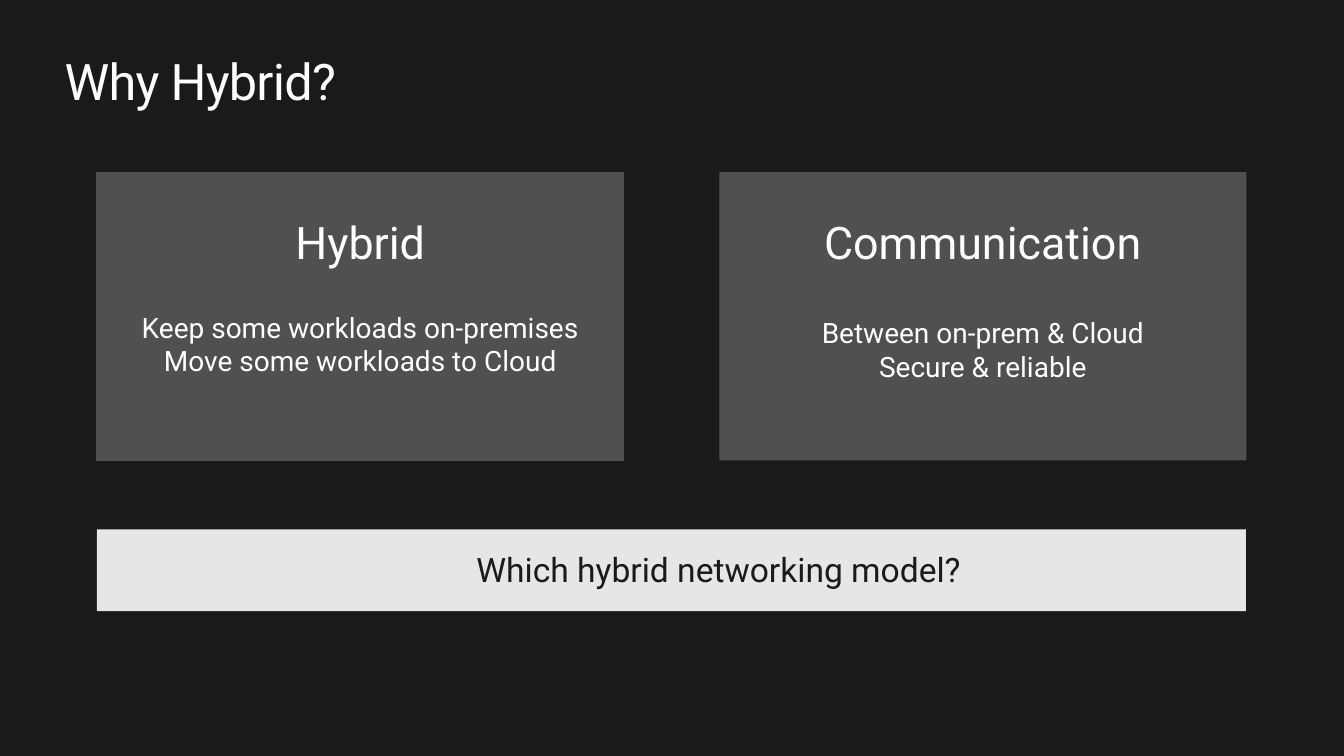
from pptx import Presentation
from pptx.dml.color import RGBColor
from pptx.enum.shapes import MSO_SHAPE
from pptx.enum.text import MSO_AUTO_SIZE, PP_ALIGN
from pptx.util import Cm, Pt

RECT = MSO_SHAPE.RECTANGLE
LEFT, CENTER = PP_ALIGN.LEFT, PP_ALIGN.CENTER
GROW = MSO_AUTO_SIZE.SHAPE_TO_FIT_TEXT

DARK, GREY, PALE, WHITE = "1A1A1A", "505050", "E6E6E6", "FFFFFF"


def color(code):
    return RGBColor.from_string(code)


class Deck:
    font = "Roboto"

    def __init__(self, wide, high):
        self.file = Presentation()
        self.file.slide_width, self.file.slide_height = Cm(wide), Cm(high)
        self.slide = self.file.slides.add_slide(self.file.slide_layouts[6])

    def paint(self, code):
        """Fill the slide background."""
        fill = self.slide.background.fill
        fill.solid()
        fill.fore_color.rgb = color(code)

    def group(self):
        return self.slide.shapes.add_group_shape().shapes

    def panel(self, shapes, x, y, w, h, code, edge=False):
        box = shapes.add_shape(RECT, Cm(x), Cm(y), Cm(w), Cm(h))
        box.shadow.inherit = False
        box.fill.solid()
        box.fill.fore_color.rgb = color(code)
        if edge:
            box.line.color.rgb = color(code)
            box.line.width = Pt(0.75)
        else:
            box.line.fill.background()

    def text(self, shapes, x, y, w, h, words, size, code=WHITE, align=CENTER, track=0):
        """Add a text box; track is letter spacing in hundredths of a point."""
        frame = shapes.add_textbox(Cm(x), Cm(y), Cm(w), Cm(h)).text_frame
        frame.margin_left = frame.margin_right = 0
        frame.margin_top = frame.margin_bottom = 0
        frame.word_wrap = True
        frame.auto_size = GROW
        frame.text = words
        for para in frame.paragraphs:
            para.alignment = align
            for run in para.runs:
                run.font.name = self.font
                run.font.size = Pt(size)
                run.font.color.rgb = color(code)
                if track:
                    run.font._element.set("spc", str(track))

    def card(self, x, head, body, drop, edge):
        """Add a panel with a heading and body text placed drop below its top."""
        top, wide, inset = 4.34, 13.28, 1
        part = self.group()
        self.panel(part, x, top, wide, 7.26, GREY, edge)
        self.text(part, x, top + 1.07, wide, 1.32, head, 32)
        self.text(part, x + inset, top + drop, wide - 2 * inset, 1.68, body, 20)

    def banner(self, words):
        part = self.group()
        self.panel(part, 2.44, 13.34, 28.96, 2.06, PALE)
        self.text(part, 5.13, 13.84, 25.96, 0.99, words, 24, DARK)


def main():
    deck = Deck(33.87, 19.05)
    deck.paint(DARK)
    deck.text(deck.slide.shapes, 1.63, 1.27, 30.61, 1.55, "Why Hybrid?", 36,
              align=LEFT, track=-50)
    deck.card(2.44, "Hybrid",
              "Keep some workloads on-premises\nMove some workloads to Cloud", 3.48, True)
    deck.card(18.13, "Communication",
              "Between on-prem & Cloud\nSecure & reliable", 3.61, False)
    deck.banner("Which hybrid networking model?")
    deck.file.save("out.pptx")


if __name__ == "__main__":
    main()
